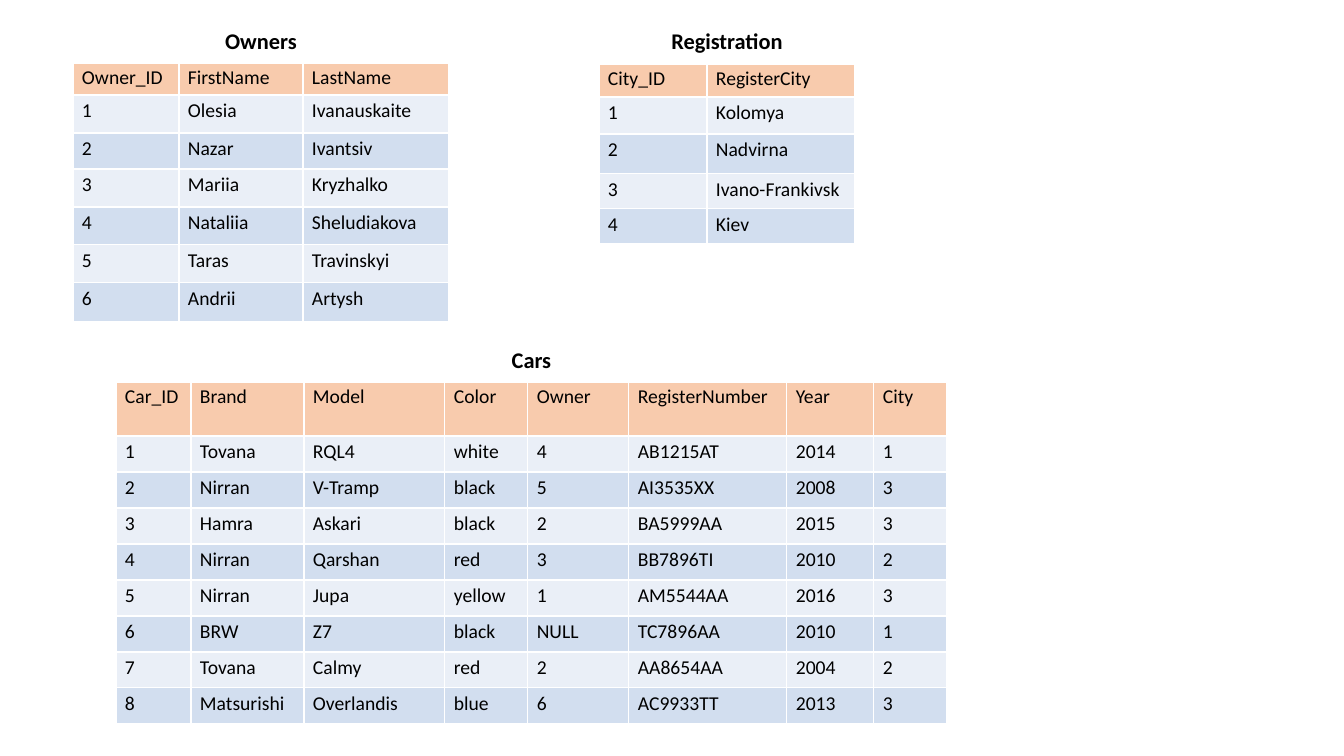
from pptx import Presentation
from pptx.dml.color import RGBColor
from pptx.enum.text import PP_ALIGN
from pptx.oxml import parse_xml
from pptx.oxml.ns import nsdecls
from pptx.util import Emu, Pt

PX = 914400 / 100.8
HEADER_FILL = "F8CBAD"
BAND_FILLS = ["EAEFF7", "D2DEEF"]


def px(length):
    """Turn pixels into EMU."""
    return Emu(round(length * PX))


def color(hex_string):
    """Turn a hex string into a colour."""
    return RGBColor.from_string(hex_string)


# title, (left, top), column widths, row heights, header and records
tables = [
    ("Owners", (73, 24), [106, 124, 146], [38, 33, 38, 36, 38, 38, 38, 39], [
        ["Owner_ID", "FirstName", "LastName"],
        ["1", "Olesia", "Ivanauskaite"],
        ["2", "Nazar", "Ivantsiv"],
        ["3", "Mariia", "Kryzhalko"],
        ["4", "Nataliia", "Sheludiakova"],
        ["5", "Taras", "Travinskyi"],
        ["6", "Andrii", "Artysh"],
    ]),
    ("Cars", (116, 343), [75, 113, 141, 83, 101, 158, 87, 73], [38, 55] + [36] * 8, [
        ["Car_ID", "Brand", "Model", "Color", "Owner", "RegisterNumber", "Year", "City"],
        ["1", "Tovana", "RQL4", "white", "4", "AB1215AT", "2014", "1"],
        ["2", "Nirran", "V-Tramp", "black", "5", "AI3535XX", "2008", "3"],
        ["3", "Hamra", "Askari", "black", "2", "BA5999AA", "2015", "3"],
        ["4", "Nirran", "Qarshan", "red", "3", "BB7896TI", "2010", "2"],
        ["5", "Nirran", "Jupa", "yellow", "1", "AM5544AA", "2016", "3"],
        ["6", "BRW", "Z7", "black", "NULL", "TC7896AA", "2010", "1"],
        ["7", "Tovana", "Calmy", "red", "2", "AA8654AA", "2004", "2"],
        ["8", "Matsurishi", "Overlandis", "blue", "6", "AC9933TT", "2013", "3"],
    ]),
    ("Registration", (599, 24), [108, 148], [39, 34, 37, 40, 35, 35], [
        ["City_ID", "RegisterCity"],
        ["1", "Kolomya"],
        ["2", "Nadvirna"],
        ["3", "Ivano-Frankivsk"],
        ["4", "Kiev"],
    ]),
]

deck = Presentation()
deck.slide_width, deck.slide_height = px(1344), px(756)
slide = deck.slides.add_slide(deck.slide_layouts[6])

for title, (left, top), widths, heights, records in tables:
    grid = slide.shapes.add_table(
        len(heights), len(widths), px(left), px(top), px(sum(widths)), px(sum(heights))
    ).table
    grid.first_row = grid.horz_banding = False
    for column, width in zip(grid.columns, widths):
        column.width = px(width)
    for row, height in zip(grid.rows, heights):
        row.height = px(height)
    grid.cell(0, 0).merge(grid.cell(0, len(widths) - 1))

    for r, entries in enumerate([[title] + [""] * (len(widths) - 1)] + records):
        for c, entry in enumerate(entries):
            cell = grid.cell(r, c)
            cell.margin_left = cell.margin_right = px(9)
            cell.margin_top = cell.margin_bottom = px(4)
            for side in "LRTB":
                points = 3 if r == 0 and side == "B" else 1
                cell._tc.get_or_add_tcPr().append(parse_xml(
                    f'<a:ln{side} {nsdecls("a")} w="{Pt(points)}"><a:solidFill>'
                    f'<a:srgbClr val="FFFFFF"/></a:solidFill></a:ln{side}>'
                ))
            if r == 0:
                cell.fill.background()
            else:
                cell.fill.solid()
                cell.fill.fore_color.rgb = color(HEADER_FILL if r == 1 else BAND_FILLS[r % 2])
            if entry:
                paragraph = cell.text_frame.paragraphs[0]
                paragraph.alignment = PP_ALIGN.CENTER if r == 0 else PP_ALIGN.LEFT
                run = paragraph.add_run()
                run.text = entry
                run.font.name = "Calibri"
                run.font.size = Pt(16 if r == 0 else 14)
                run.font.bold = r == 0
                run.font.color.rgb = color("000000")

deck.save("out.pptx")
